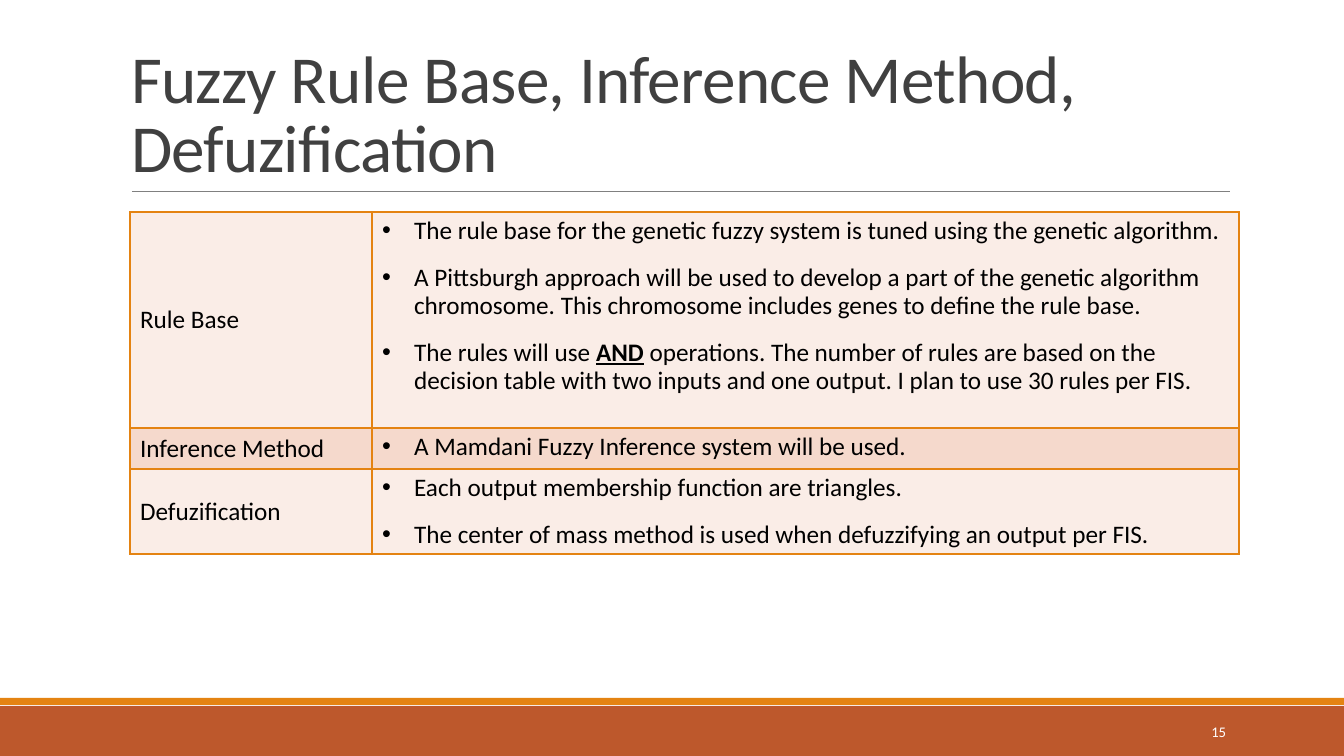
import pptx
import pptx.dml.color
import pptx.enum.shapes
import pptx.enum.text
import pptx.oxml
import pptx.oxml.ns
import pptx.util

PX = 12192000 / 1344
ANCHOR = pptx.enum.text.MSO_ANCHOR
ALIGN = pptx.enum.text.PP_ALIGN
RUST, ORANGE, GREY = "BD582C", "E48312", "808080"
PALE, PEACH = "FAEDE7", "F5D9CC"

RULES = [
    ("Rule Base", 216, PALE, [
        "The rule base for the genetic fuzzy system is tuned using the genetic algorithm.",
        "A Pittsburgh approach will be used to develop a part of the genetic algorithm "
        "chromosome. This chromosome includes genes to define the rule base.",
        "The rules will use *AND* operations. The number of rules are based on "
        "the decision table with two inputs and one output. I plan to use 30 rules per FIS.",
    ]),
    ("Inference Method", 41, PEACH, ["A Mamdani Fuzzy Inference system will be used."]),
    ("Defuzification", 85, PALE, [
        "Each output membership function are triangles.",
        "The center of mass method is used when defuzzifying an output per FIS.",
    ]),
]


def px(length):
    return pptx.util.Emu(round(length * PX))


def color(hex_string):
    return pptx.dml.color.RGBColor.from_string(hex_string)


def xml(body):
    tag, rest = body[1:].split(" ", 1)
    return pptx.oxml.parse_xml(f"<{tag} {pptx.oxml.ns.nsdecls('a')} {rest}")


class Deck:
    font = "Calibri"

    def __init__(self):
        self.presentation = pptx.Presentation()
        self.presentation.slide_width = px(1344)
        self.presentation.slide_height = px(756)
        self.slide = self.presentation.slides.add_slide(self.presentation.slide_layouts[5])

    def style(self, run, size, hex_string):
        run.font.name = self.font
        run.font.size = pptx.util.Pt(size)
        run.font.color.rgb = color(hex_string)

    def band(self, top, height, fill):
        band = self.slide.shapes.add_shape(
            pptx.enum.shapes.MSO_SHAPE.RECTANGLE, 0, px(top), px(1344), px(height))
        band.shadow.inherit = False
        band.fill.solid()
        band.fill.fore_color.rgb = color(fill)
        band.line.fill.background()

    def rule(self, left, right, y):
        rule = self.slide.shapes.add_connector(
            pptx.enum.shapes.MSO_CONNECTOR.STRAIGHT, px(left), px(y), px(right), px(y))
        rule.line.color.rgb = color(GREY)
        rule.line.width = pptx.util.Pt(0.5)
        rule._element.spPr.append(xml("<a:effectLst />"))

    def title(self, text, left, top, width, height):
        title = self.slide.shapes.title
        title.left, title.top, title.width, title.height = map(px, (left, top, width, height))
        frame = title.text_frame
        frame.text = text
        frame.word_wrap = True
        frame.auto_size = pptx.enum.text.MSO_AUTO_SIZE.NONE
        frame.vertical_anchor = ANCHOR.BOTTOM
        heading = frame.paragraphs[0]
        heading.alignment = ALIGN.LEFT
        heading.line_spacing = 0.85
        run = heading.runs[0]
        self.style(run, 48, "404040")
        run.font._element.set("spc", "-50")

    def page_number(self, text, left, top, width, height):
        box = self.slide.shapes.add_textbox(*map(px, (left, top, width, height)))
        frame = box.text_frame
        frame.text = text
        frame.word_wrap = True
        frame.vertical_anchor = ANCHOR.MIDDLE
        frame.paragraphs[0].alignment = ALIGN.RIGHT
        self.style(frame.paragraphs[0].runs[0], 10.5, "FFFFFF")

    def bullet(self, paragraph, text, first):
        properties = paragraph._p.get_or_add_pPr()
        properties.set("marL", str(px(32)))
        properties.set("indent", str(px(-32)))
        properties.append(xml('<a:buClr ><a:srgbClr val="000000"/></a:buClr>'))
        properties.append(xml('<a:buFont typeface="Arial"/>'))
        properties.append(xml('<a:buChar char="•"/>'))
        paragraph.line_spacing = 0.9
        paragraph.space_before = pptx.util.Pt(0 if first else 12)
        paragraph.space_after = pptx.util.Pt(2)
        for index, part in enumerate(text.split("*")):
            run = paragraph.add_run()
            run.text = part
            self.style(run, 18, "000000")
            if index % 2:
                run.font.bold = run.font.underline = True

    def finish_cell(self, cell, fill):
        cell.fill.solid()
        cell.fill.fore_color.rgb = color(fill)
        for index, side in enumerate("LRTB"):
            cell._tc.tcPr.insert(index, xml(
                f'<a:ln{side} w="12700"><a:solidFill><a:srgbClr val="{ORANGE}"/>'
                f"</a:solidFill></a:ln{side}>"))

    def table(self, rows, left, top, widths):
        height = sum(row[1] for row in rows)
        table = self.slide.shapes.add_table(
            len(rows), len(widths), px(left), px(top), px(sum(widths)), px(height)).table
        table.first_row = table.horz_banding = False
        for column, width in zip(table.columns, widths):
            column.width = px(width)
        for index, (label, row_height, fill, points) in enumerate(rows):
            table.rows[index].height = px(row_height)
            label_cell, points_cell = table.rows[index].cells
            label_cell.text_frame.text = label
            label_cell.vertical_anchor = ANCHOR.MIDDLE
            self.style(label_cell.text_frame.paragraphs[0].runs[0], 18, "000000")
            frame = points_cell.text_frame
            for number, point in enumerate(points):
                paragraph = frame.add_paragraph() if number else frame.paragraphs[0]
                self.bullet(paragraph, point, number == 0)
            self.finish_cell(label_cell, fill)
            self.finish_cell(points_cell, fill)


def main():
    deck = Deck()
    deck.band(706, 50, RUST)
    deck.band(698, 7, ORANGE)
    deck.rule(132, 1230, 191)
    deck.title("Fuzzy Rule Base, Inference Method, Defuzification", 121, 31, 1109, 160)
    deck.table(RULES, 130, 212, (242, 867))
    deck.page_number("15", 1092, 712, 144, 40)
    deck.presentation.save("out.pptx")


if __name__ == "__main__":
    main()
